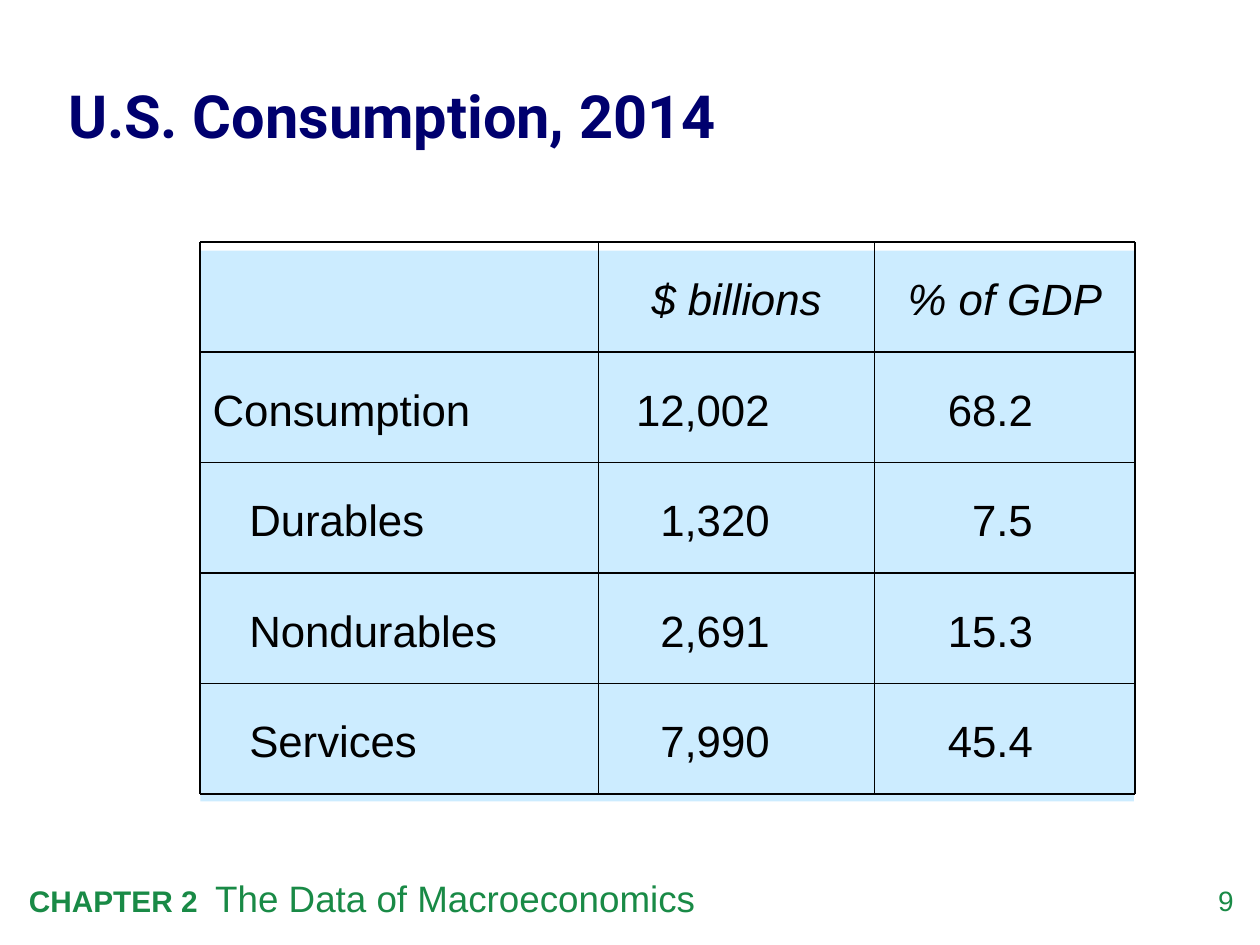
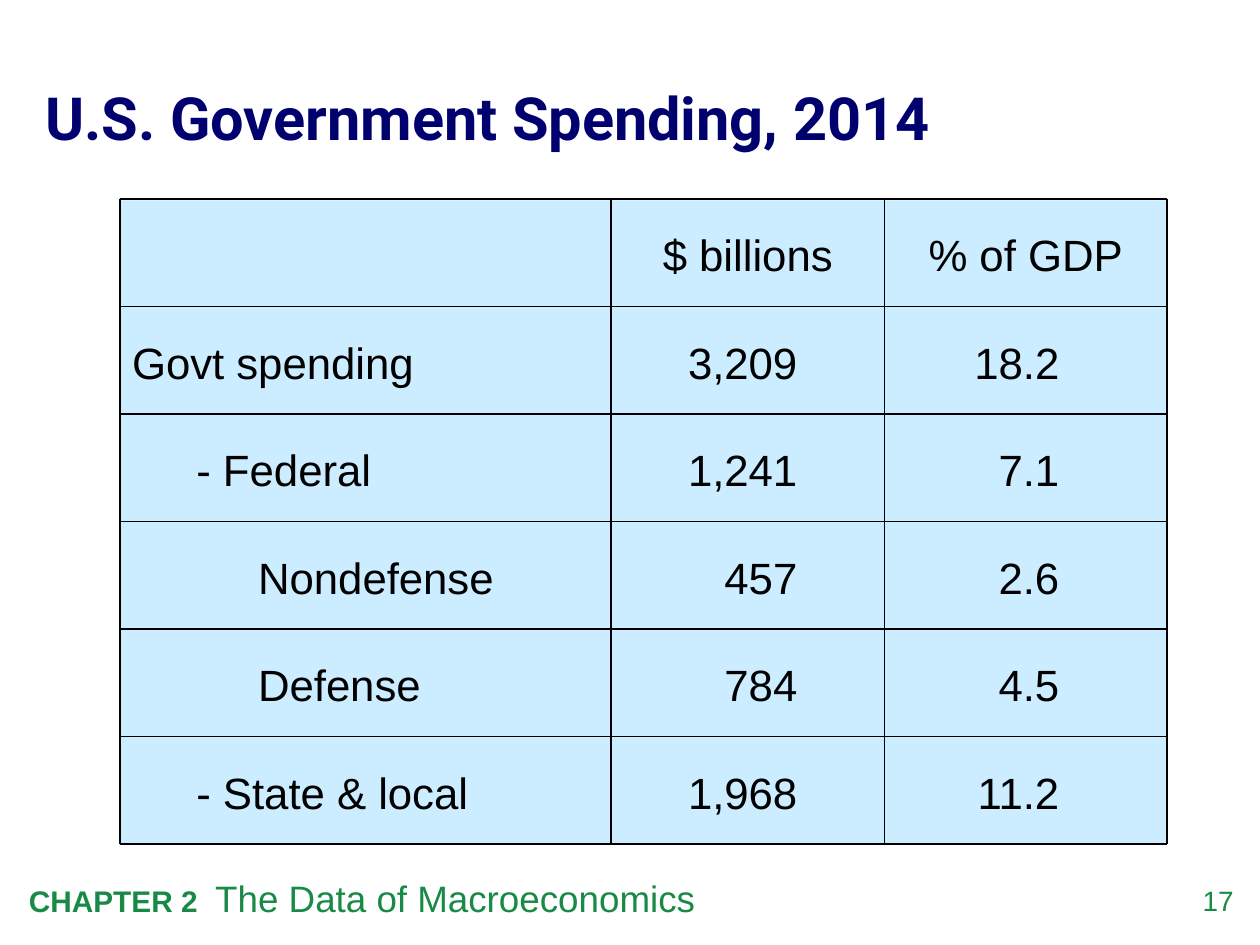
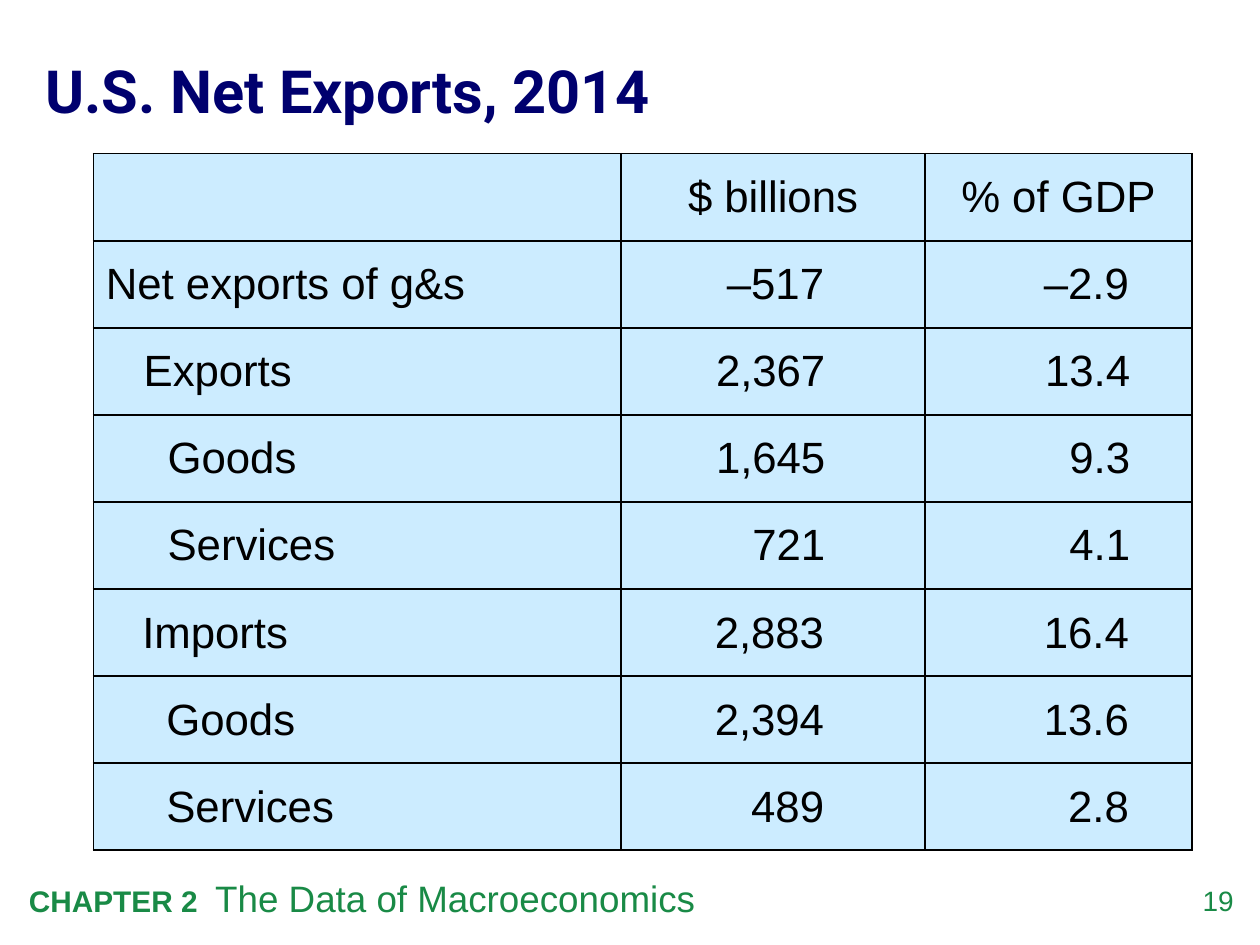
from dataclasses import dataclass
from itertools import accumulate

from lxml import etree
from pptx import Presentation
from pptx.dml.color import RGBColor
from pptx.enum.shapes import MSO_CONNECTOR as Connector, MSO_SHAPE as Shape
from pptx.enum.text import MSO_ANCHOR as Anchor, PP_ALIGN as Align
from pptx.oxml.ns import qn
from pptx.util import Inches, Pt

# Shared style
NAVY, GREEN, PALE_BLUE, BLACK = "00006E", "198A46", "CCECFF", "000000"
TITLE_FONT, BODY_FONT = "Roboto", "Arial"
BODY_SIZE = 25
INSET = 0.1
HEADERS = ("", "$ billions", "% of GDP")
NO_TABLE_STYLE = "{2D5ABB26-0587-4C30-8999-92F81FD0307C}"


@dataclass(frozen=True)
class Box:
    left: float
    top: float
    width: float
    height: float

    def lengths(self) -> tuple:
        return tuple(Inches(v) for v in (self.left, self.top, self.width, self.height))


@dataclass(frozen=True)
class Row:
    label: str
    billions: str
    share: str
    level: int = 0


@dataclass(frozen=True)
class RuledGrid:
    """Figures in text boxes on a panel, separated by ruled lines."""
    number: int
    title: str
    title_box: Box
    panel: Box
    left: float
    top: float
    row_height: float
    columns: tuple[float, ...]
    label_tabs: tuple[float, ...]
    decimal_tabs: tuple[float, float]
    rows: tuple[Row, ...]
    italic_header: bool = False


@dataclass(frozen=True)
class ExportTable:
    left: float
    top: float
    height: float
    row_count: int
    rows: tuple[Row, ...]
    framed: bool = False  # header, fill and borders


RULED_GRIDS = (
    RuledGrid(
        9, "U.S. Consumption, 2014", Box(0.54, 0.24, 9, 1.31),
        panel=Box(1.59, 1.99, 7.41, 4.37),
        left=1.59, top=1.92, row_height=0.876, columns=(3.16, 2.19, 2.07),
        label_tabs=(0.29,), decimal_tabs=(1.26, 0.87),
        rows=(
            Row("Consumption", "12,002", "68.2"),
            Row("Durables", "1,320", "7.5", 1),
            Row("Nondurables", "2,691", "15.3", 1),
            Row("Services", "7,990", "45.4", 1),
        ),
        italic_header=True,
    ),
    RuledGrid(
        17, "U.S. Government Spending, 2014", Box(0.36, 0.26, 9.18, 1.31),
        panel=Box(0.96, 1.59, 8.3, 5.1),
        left=0.95, top=1.58, row_height=0.853, columns=(3.9, 2.17, 2.24),
        label_tabs=(0.51, 1), decimal_tabs=(1.38, 1),
        rows=(
            Row("Govt spending", "3,209", "18.2"),
            Row("- Federal", "1,241", "7.1", 1),
            Row("Nondefense", "457", "2.6", 2),
            Row("Defense", "784", "4.5", 2),
            Row("- State & local", "1,968", "11.2", 1),
        ),
    ),
)

EXPORT_COLUMNS = (4.19, 2.41, 2.12)
EXPORT_INDENTS = (0, 0.29, 0.48)
EXPORT_NUMBER_INSETS = (0.8, 0.5)
EXPORT_TABLES = (
    ExportTable(0.74, 1.22, 5.53, 8,
                (Row("Net exports of g&s", "–517", "–2.9"),), framed=True),
    ExportTable(0.75, 2.6, 2.07, 3, (
        Row("Exports", "2,367", "13.4", 1),
        Row("Goods", "1,645", "9.3", 2),
        Row("Services", "721", "4.1", 2),
    )),
    ExportTable(0.74, 4.68, 2.07, 3, (
        Row("Imports", "2,883", "16.4", 1),
        Row("Goods", "2,394", "13.6", 2),
        Row("Services", "489", "2.8", 2),
    )),
)


def rgb(color: str) -> RGBColor:
    return RGBColor.from_string(color)


def style_font(font, size: float, color: str, name: str = BODY_FONT,
               bold: bool = False, italic: bool = False) -> None:
    font.name, font.size, font.bold, font.italic = name, Pt(size), bold, italic
    font.color.rgb = rgb(color)


def fill_solid(target, color: str) -> None:
    target.fill.solid()
    target.fill.fore_color.rgb = rgb(color)


def add_tabs(paragraph, positions: tuple[float, ...], alignment: str = "l") -> None:
    tab_list = etree.SubElement(paragraph._p.get_or_add_pPr(), qn("a:tabLst"))
    for position in positions:
        etree.SubElement(tab_list, qn("a:tab"), pos=str(Inches(position)), algn=alignment)


def add_text_box(slide, box: Box, inset: float = 0):
    """Add a wrapping text box and return its text frame."""
    frame = slide.shapes.add_textbox(*box.lengths()).text_frame
    frame.word_wrap = True
    frame.margin_left = frame.margin_right = Inches(inset)
    frame.margin_top = frame.margin_bottom = Inches(inset / 2)
    return frame


def add_title(slide, text: str, box: Box) -> None:
    frame = add_text_box(slide, box)
    frame.vertical_anchor = Anchor.MIDDLE
    paragraph = frame.paragraphs[0]
    paragraph.text, paragraph.line_spacing = text, 1.05
    style_font(paragraph.font, 34, NAVY, TITLE_FONT, bold=True)


def add_footer(slide, number: int) -> None:
    # Page number
    page = add_text_box(slide, Box(9.24, 7.01, 0.55, 0.32)).paragraphs[0]
    page.text, page.alignment = str(number), Align.RIGHT
    style_font(page.font, 16, GREEN)

    # Chapter name after a tab stop
    chapter = add_text_box(slide, Box(0.13, 6.9, 8.18, 0.45), INSET).paragraphs[0]
    add_tabs(chapter, (1.48,))
    for text, size, bold in (("CHAPTER 2\t", 17, True),
                             ("The Data of Macroeconomics", 21, False)):
        run = chapter.add_run()
        run.text = text
        style_font(run.font, size, GREEN, bold=bold)


def add_panel(slide, box: Box) -> None:
    panel = slide.shapes.add_shape(Shape.RECTANGLE, *box.lengths())
    panel.shadow.inherit = False
    fill_solid(panel, PALE_BLUE)
    panel.line.fill.background()


def add_rule(slide, start: tuple[float, float], end: tuple[float, float]) -> None:
    ends = (Inches(v) for v in (*start, *end))
    rule = slide.shapes.add_connector(Connector.STRAIGHT, *ends)
    rule.line.width = Pt(1)
    rule.line.color.rgb = rgb(BLACK)
    etree.SubElement(rule._element.spPr, qn("a:effectLst"))


def add_grid_text(slide, box: Box, text: str, italic: bool = False):
    frame = add_text_box(slide, box, INSET)
    frame.vertical_anchor = Anchor.MIDDLE
    paragraph = frame.paragraphs[0]
    paragraph.text, paragraph.line_spacing = text, 1.05
    space = etree.SubElement(paragraph._p.get_or_add_pPr(), qn("a:spcBef"))
    etree.SubElement(space, qn("a:spcPct"), val="45000")
    style_font(paragraph.font, BODY_SIZE, BLACK, italic=italic)
    return paragraph


def add_ruled_grid(slide, grid: RuledGrid) -> None:
    row_count = len(grid.rows) + 1
    edges = list(accumulate(grid.columns, initial=grid.left))
    levels = [grid.top + index * grid.row_height for index in range(row_count + 1)]

    def cell_box(row: int, column: int) -> Box:
        return Box(edges[column], levels[row], grid.columns[column], grid.row_height)

    # Headers, labels and decimal-aligned figures
    for column in (1, 2):
        header = add_grid_text(slide, cell_box(0, column), HEADERS[column],
                               grid.italic_header)
        header.alignment = Align.CENTER
    for index, row in enumerate(grid.rows, start=1):
        label = add_grid_text(slide, cell_box(index, 0), "\t" * row.level + row.label)
        add_tabs(label, grid.label_tabs)
        values = zip((row.billions, row.share), grid.decimal_tabs)
        for column, (value, position) in enumerate(values, start=1):
            figure = add_grid_text(slide, cell_box(index, column), "\t" + value)
            add_tabs(figure, (position,), "dec")

    # Rules
    for level in levels:
        add_rule(slide, (edges[0], level), (edges[-1], level))
    for edge in edges:
        add_rule(slide, (edge, levels[0]), (edge, levels[-1]))


def add_borders(cell) -> None:
    properties = cell._tc.get_or_add_tcPr()
    for side in ("lnL", "lnR", "lnT", "lnB"):
        line = etree.SubElement(properties, qn(f"a:{side}"), w=str(Pt(1)))
        fill = etree.SubElement(line, qn("a:solidFill"))
        etree.SubElement(fill, qn("a:srgbClr"), val=BLACK)


def write_cell(cell, text: str, alignment: Align,
               left: float = INSET, right: float = INSET) -> None:
    cell.vertical_anchor = Anchor.MIDDLE
    cell.margin_left, cell.margin_right = Inches(left), Inches(right)
    paragraph = cell.text_frame.paragraphs[0]
    paragraph.text, paragraph.alignment = text, alignment
    style_font(paragraph.font, BODY_SIZE, BLACK)


def add_export_table(slide, spec: ExportTable) -> None:
    box = Box(spec.left, spec.top, sum(EXPORT_COLUMNS), spec.height)
    table = slide.shapes.add_table(spec.row_count, len(EXPORT_COLUMNS),
                                   *box.lengths()).table
    table.first_row = table.horz_banding = False
    table._tbl.tblPr.find(qn("a:tableStyleId")).text = NO_TABLE_STYLE
    for column, width in zip(table.columns, EXPORT_COLUMNS):
        column.width = Inches(width)
    for table_row in table.rows:
        table_row.height = Inches(spec.height / spec.row_count)

    for cell in table.iter_cells():
        if spec.framed:
            add_borders(cell)
            fill_solid(cell, PALE_BLUE)
        else:
            cell.fill.background()

    if spec.framed:
        for column in (1, 2):
            write_cell(table.cell(0, column), HEADERS[column], Align.CENTER)
    for index, row in enumerate(spec.rows, start=int(spec.framed)):
        write_cell(table.cell(index, 0), row.label, Align.LEFT,
                   left=INSET + EXPORT_INDENTS[row.level])
        values = zip((row.billions, row.share), EXPORT_NUMBER_INSETS)
        for column, (value, inset) in enumerate(values, start=1):
            write_cell(table.cell(index, column), value, Align.RIGHT, right=inset)


def main() -> None:
    presentation = Presentation()
    presentation.slide_width, presentation.slide_height = Inches(10), Inches(7.5)
    blank_layout = presentation.slide_layouts[6]

    # Consumption and government spending
    for grid in RULED_GRIDS:
        slide = presentation.slides.add_slide(blank_layout)
        add_footer(slide, grid.number)
        add_panel(slide, grid.panel)
        add_title(slide, grid.title, grid.title_box)
        add_ruled_grid(slide, grid)

    # Net exports
    slide = presentation.slides.add_slide(blank_layout)
    add_footer(slide, 19)
    add_title(slide, "U.S. Net Exports, 2014", Box(0.36, 0.32, 9.18, 0.76))
    for export_table in EXPORT_TABLES:
        add_export_table(slide, export_table)

    presentation.save("out.pptx")


if __name__ == "__main__":
    main()
